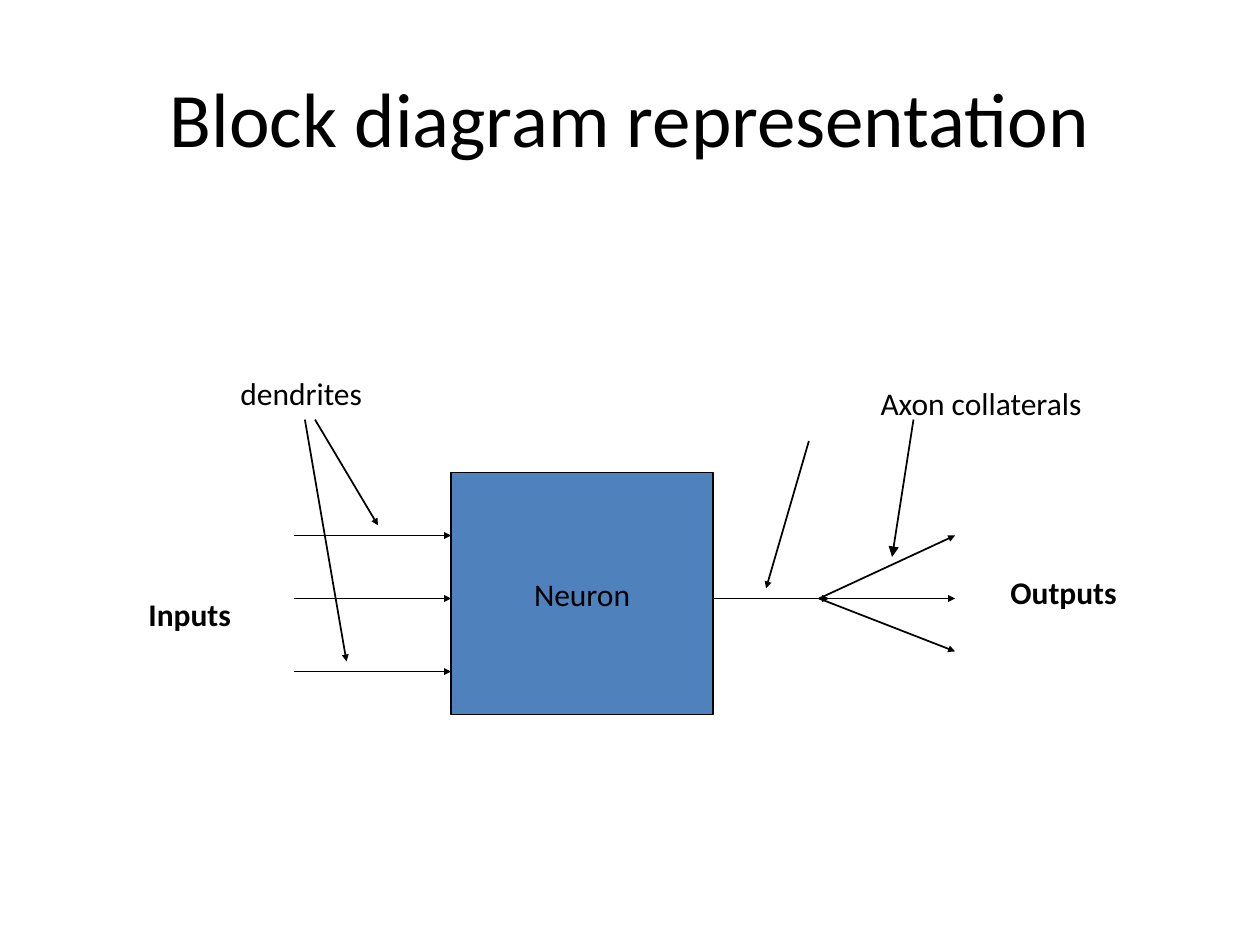
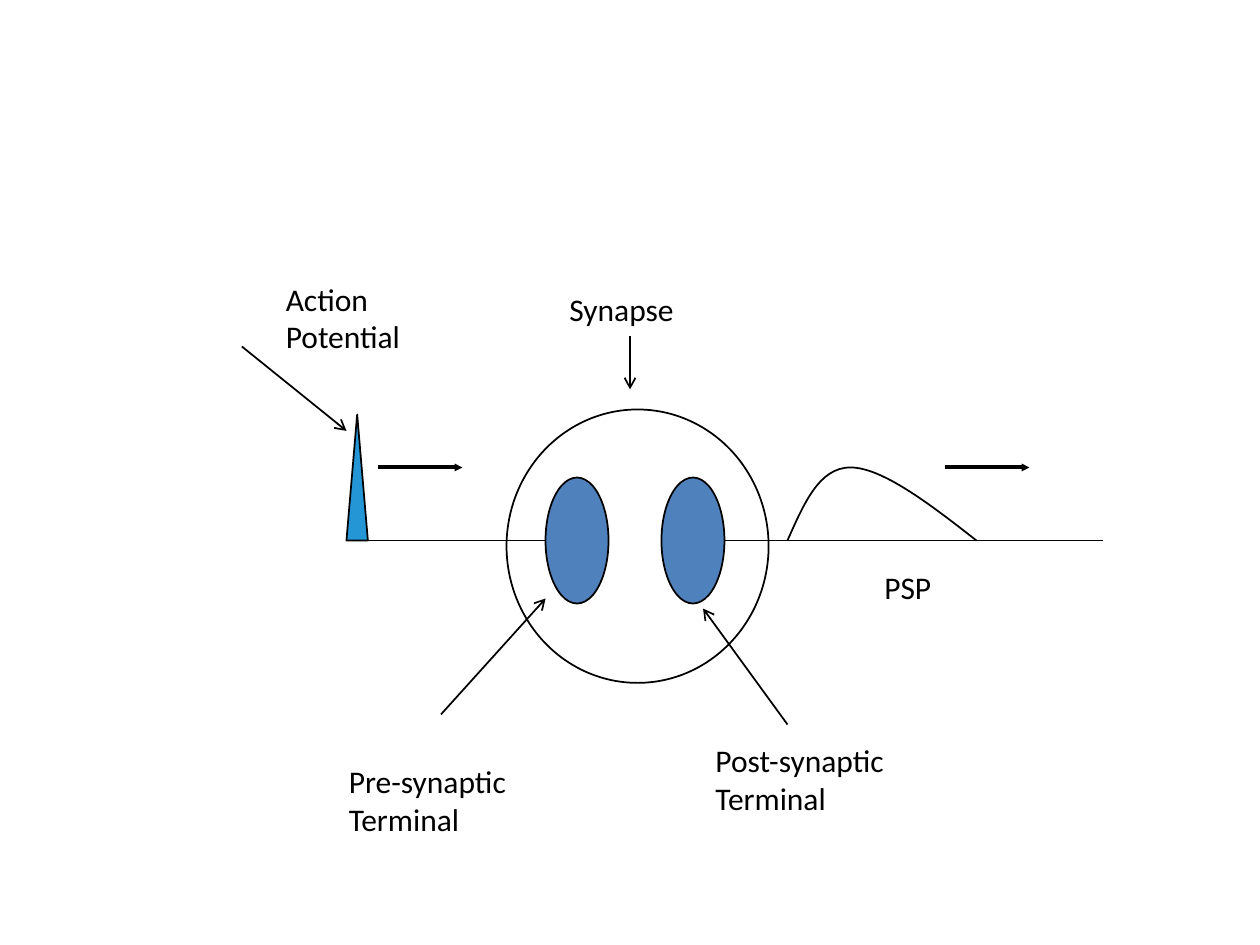
from lxml import etree
from pptx import Presentation
from pptx.dml.color import RGBColor
from pptx.enum.shapes import MSO_CONNECTOR, MSO_SHAPE
from pptx.enum.text import MSO_ANCHOR, PP_ALIGN
from pptx.oxml.ns import qn
from pptx.util import Inches, Pt

BLACK = RGBColor(0x00, 0x00, 0x00)
BLUE = RGBColor(0x4F, 0x81, 0xBD)
SPIKE_BLUE = RGBColor(0x24, 0x96, 0xD6)
FONT = "Calibri"
LEFT, CENTER = PP_ALIGN.LEFT, PP_ALIGN.CENTER
TOP, MIDDLE = MSO_ANCHOR.TOP, MSO_ANCHOR.MIDDLE
STRAIGHT = MSO_CONNECTOR.STRAIGHT
RECTANGLE, OVAL = MSO_SHAPE.RECTANGLE, MSO_SHAPE.OVAL
TRIANGLE = MSO_SHAPE.ISOSCELES_TRIANGLE

# Arrowheads: kind and size
SMALL_HEAD = ("triangle", "sm")
LARGE_HEAD = ("triangle", "med")
OPEN_HEAD = ("arrow", "med")

# Block diagram: boxes are left, top, width, height; lines are x1, y1, x2, y2
DIAGRAM_TITLE = "Block diagram representation"
NEURON = (3.58, 3.75, 2.08, 1.92)
INPUT_START, INPUT_END = 2.33, 3.58
INPUT_LEVELS = (4.25, 4.75, 5.33)
AXON = (5.67, 4.75, 6.58, 4.75)
BRANCH_POINT = (6.5, 4.75)
OUTPUT_END = 7.58
OUTPUT_LEVELS = (4.25, 4.75, 5.17)
DENDRITE_POINTERS = [(2.5, 3.33, 3, 4.17), (2.42, 3.33, 2.75, 5.25)]
AXON_POINTER = (6.42, 3.5, 6.08, 4.67)
COLLATERAL_POINTER = (7.25, 3.33, 7.08, 4.42)
DIAGRAM_LABELS = [
    ("Axon collaterals", (6.89, 3, 2, 0.4), False),
    ("dendrites", (1.81, 2.92, 2, 0.4), False),
    ("Inputs", (1.08, 4.67, 0.95, 0.4), True),
    ("Outputs", (7.92, 4.5, 1.15, 0.4), True),
]

# Synapse
FIBRE_LEVEL = 4.29
FIBRES = [(2.75, 4.33), (5.75, 8.75)]
TERMINAL_LEFTS = (4.33, 5.25)
TERMINAL_SIZE = (0.5, 1)
SPIKE = (2.75, 3.29, 0.17, 1)
SYNAPSE = (4.02, 3.25, 2.08, 2.17)
SIGNAL_LEVEL, SIGNAL_LENGTH = 3.71, 0.67
SIGNAL_STARTS = (3, 7.5)
PSP_CURVE = [  # start, then two controls and an end for each arc
    (6.25, 4.29),
    (6.38, 4), (6.5, 3.71), (6.75, 3.71),
    (7, 3.71), (7.38, 4), (7.75, 4.29),
]
SYNAPSE_POINTERS = [
    (1.92, 2.75, 2.75, 3.42),
    (5, 2.67, 5, 3.09),
    (3.5, 5.67, 4.33, 4.75),
    (6.25, 5.75, 5.58, 4.83),
]
SYNAPSE_LABELS = [
    ("PSP", (6.92, 4.46, 0.76, 0.5)),
    ("Action\nPotential", (2.17, 2.17, 1.4, 0.91)),
    ("Synapse", (4.42, 2.25, 1.32, 0.51)),
    ("Pre-synaptic\nTerminal", (2.67, 6, 1.88, 0.91)),
    ("Post-synaptic\nTerminal", (5.58, 5.83, 2.01, 0.91)),
]


def inches(values):
    return [Inches(value) for value in values]


def write(holder, text, size=18, bold=False, align=LEFT, anchor=TOP):
    frame = holder.text_frame
    frame.word_wrap = True
    frame.vertical_anchor = anchor
    frame.text = text
    for paragraph in frame.paragraphs:
        paragraph.alignment = align
        font = paragraph.runs[0].font
        font.name, font.size, font.bold = FONT, Pt(size), bold
        font.color.rgb = BLACK


def add_label(slide, text, box, **text_format):
    label = slide.shapes.add_textbox(*inches(box))
    write(label, text, **text_format)


def outline(shape, fill=None):
    shape.shadow.inherit = False
    shape.line.color.rgb = BLACK
    shape.line.width = Pt(1)
    if fill is None:
        shape.fill.background()
    else:
        shape.fill.solid()
        shape.fill.fore_color.rgb = fill


def add_outlined(slide, kind, box, fill=None):
    shape = slide.shapes.add_shape(kind, *inches(box))
    outline(shape, fill)
    return shape


def add_line(slide, ends, head=None, width=1):
    line = slide.shapes.add_connector(STRAIGHT, *inches(ends))
    line.line.color.rgb = BLACK
    line.line.width = Pt(width)
    properties = line._element.spPr
    if head:
        kind, size = head
        etree.SubElement(properties.find(qn("a:ln")), qn("a:tailEnd"),
                         type=kind, w=size, len=size)
    etree.SubElement(properties, qn("a:effectLst"))


def add_curve(slide, points):
    start, *rest = [inches(point) for point in points]
    builder = slide.shapes.build_freeform(*start)
    builder.add_line_segments(rest, close=False)
    curve = builder.convert_to_shape()
    # Turn every three straight segments into one Bezier arc
    segments = list(curve._element.iter(qn("a:lnTo")))
    outline_path = segments[0].getparent()
    for first in range(0, len(segments), 3):
        arc = etree.SubElement(outline_path, qn("a:cubicBezTo"))
        for segment in segments[first:first + 3]:
            arc.append(segment[0])
            outline_path.remove(segment)
    outline(curve)


def build_block_diagram(prs):
    slide = prs.slides.add_slide(prs.slide_layouts[5])
    title = slide.shapes.title
    title.left, title.top, title.width, title.height = inches((0.5, 0.3, 9, 1.25))
    write(title, DIAGRAM_TITLE, size=44, align=CENTER, anchor=MIDDLE)

    # Neuron with its inputs and outputs
    neuron = add_outlined(slide, RECTANGLE, NEURON, BLUE)
    write(neuron, "Neuron", align=CENTER, anchor=MIDDLE)
    signals = [(INPUT_START, y, INPUT_END, y) for y in INPUT_LEVELS]
    signals.append(AXON)
    signals += [(*BRANCH_POINT, OUTPUT_END, y) for y in OUTPUT_LEVELS]

    # Signals and the pointers from the labels
    for ends in signals + DENDRITE_POINTERS + [AXON_POINTER]:
        add_line(slide, ends, SMALL_HEAD)
    add_line(slide, COLLATERAL_POINTER, LARGE_HEAD)
    for text, box, bold in DIAGRAM_LABELS:
        add_label(slide, text, box, bold=bold)


def build_synapse(prs):
    slide = prs.slides.add_slide(prs.slide_layouts[6])

    # Nerve fibres, terminals and the synapse around them
    for start, end in FIBRES:
        add_line(slide, (start, FIBRE_LEVEL, end, FIBRE_LEVEL))
    width, height = TERMINAL_SIZE
    for left in TERMINAL_LEFTS:
        add_outlined(slide, OVAL, (left, FIBRE_LEVEL - height / 2, width, height), BLUE)
    add_outlined(slide, OVAL, SYNAPSE)

    # Action potential, postsynaptic potential and their directions
    add_outlined(slide, TRIANGLE, SPIKE, SPIKE_BLUE)
    add_curve(slide, PSP_CURVE)
    for start in SIGNAL_STARTS:
        add_line(slide, (start, SIGNAL_LEVEL, start + SIGNAL_LENGTH, SIGNAL_LEVEL),
                 SMALL_HEAD, width=2.25)

    # Labels and pointers
    for ends in SYNAPSE_POINTERS:
        add_line(slide, ends, OPEN_HEAD)
    for text, box in SYNAPSE_LABELS:
        add_label(slide, text, box)


def main():
    prs = Presentation()
    prs.slide_width, prs.slide_height = Inches(10), Inches(7.5)
    build_block_diagram(prs)
    build_synapse(prs)
    prs.save("out.pptx")


if __name__ == "__main__":
    main()
